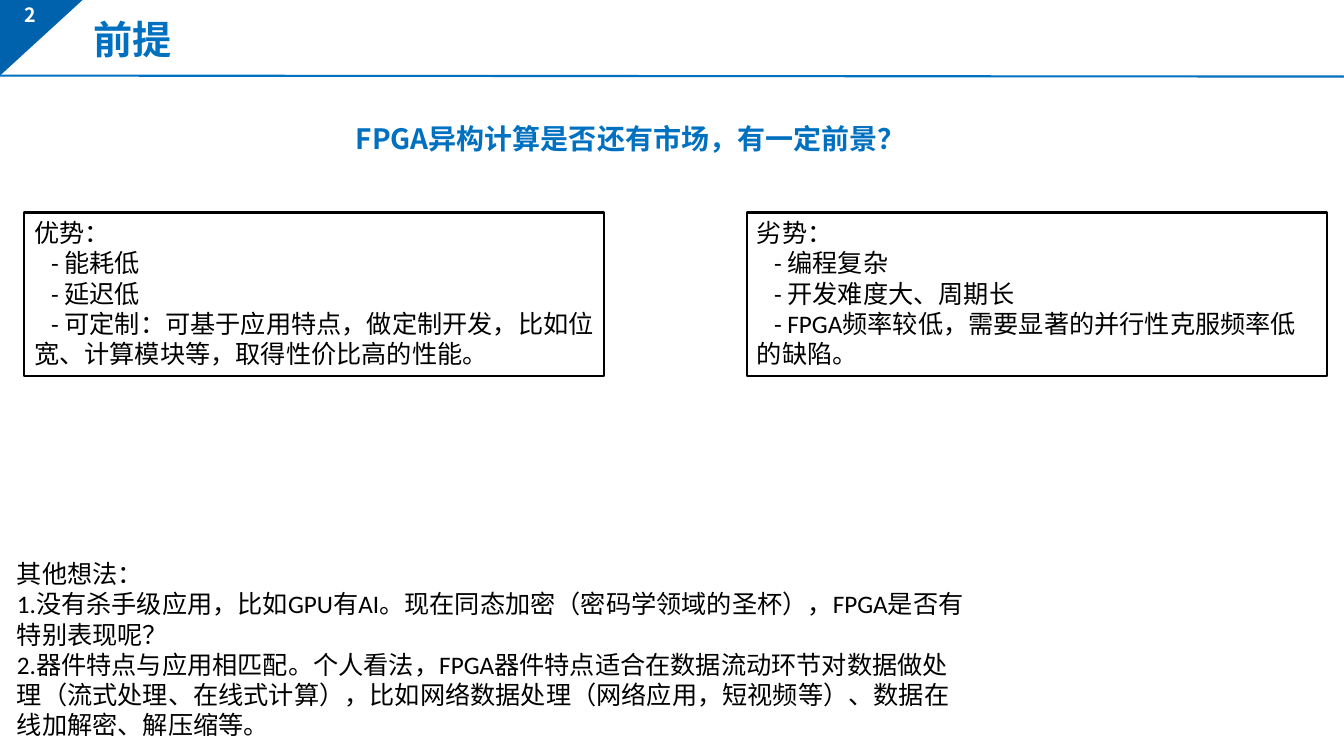
from pptx import Presentation
from pptx.dml.color import RGBColor
from pptx.enum.shapes import MSO_CONNECTOR as Connector, MSO_SHAPE as Shape
from pptx.enum.text import MSO_ANCHOR as Anchor, MSO_AUTO_SIZE as AutoSize, PP_ALIGN as Align
from pptx.oxml.ns import qn
from pptx.oxml.xmlchemy import OxmlElement
from pptx.util import Pt

HEADING_FONT, BODY_FONT = "Noto Sans CJK SC", "Calibri"
BLUE, DARK_BLUE, BLACK, WHITE = "0070C0", "0062AC", "000000", "FFFFFF"
WIDTH, HEIGHT = 960, 540


def color(value):
    return RGBColor.from_string(value)


def place(shape, box):
    shape.left, shape.top, shape.width, shape.height = map(Pt, box)


def write(shape, lines, size=18, font=BODY_FONT, fill=BLACK, bold=False, align=Align.LEFT,
          anchor=Anchor.TOP, insets=(7.2, 3.6), spacing=None, item_indent=0):
    """Fill a shape with paragraphs; item_indent moves the first line of all but the first."""
    frame = shape.text_frame
    frame.word_wrap = True
    frame.auto_size = AutoSize.NONE
    frame.vertical_anchor = anchor
    frame.margin_left = frame.margin_right = Pt(insets[0])
    frame.margin_top = frame.margin_bottom = Pt(insets[1])
    for index, line in enumerate(lines):
        paragraph = frame.paragraphs[0] if index == 0 else frame.add_paragraph()
        paragraph.alignment = align
        paragraph.space_before = Pt(0)
        paragraph.line_spacing = spacing
        if index and item_indent:
            properties = paragraph._p.get_or_add_pPr()
            properties.set("marL", "0")
            properties.set("indent", str(Pt(item_indent)))
        run = paragraph.add_run()
        run.text = line
        run.font.size = Pt(size)
        run.font.bold = bold
        run.font.name = font
        run.font.color.rgb = color(fill)
        east_asian = OxmlElement("a:ea")
        east_asian.set("typeface", font)
        run.font._element.find(qn("a:latin")).addnext(east_asian)


def add_text(slide, box, lines, **text_format):
    write(slide.shapes.add_textbox(*map(Pt, box)), lines, **text_format)


def add_header(slide, box, number, title):
    left, top, width, height = box
    # Corner with the page number
    corner = slide.shapes.add_shape(Shape.RIGHT_TRIANGLE, Pt(left), Pt(top), Pt(59), Pt(height))
    corner._element.spPr.find(qn("a:xfrm")).set("flipV", "1")
    corner.shadow.inherit = False
    corner.fill.solid()
    corner.fill.fore_color.rgb = color(DARK_BLUE)
    corner.line.fill.background()
    add_text(slide, (left - 3.6, top + 0.7, 50.4, 19.4), [number], size=14, font=HEADING_FONT,
             fill=WHITE, bold=True, align=Align.CENTER, anchor=Anchor.MIDDLE, insets=(0, 0))
    # Rule below the header
    rule = slide.shapes.add_connector(Connector.STRAIGHT, Pt(left), Pt(top + height),
                                      Pt(left + width), Pt(top + height + 0.7))
    rule.line.color.rgb = color(BLUE)
    rule.line.width = Pt(1.5)
    rule._element.spPr.append(OxmlElement("a:effectLst"))
    # Title
    place(slide.shapes.title, (left + 59.8, top + 7.2, 888, 41))
    write(slide.shapes.title, [title], size=28, font=HEADING_FONT, fill=BLUE, bold=True,
          anchor=Anchor.MIDDLE)


def add_panel(slide, box, lines):
    panel = slide.shapes.add_shape(Shape.RECTANGLE, *map(Pt, box))
    panel.shadow.inherit = False
    panel.fill.background()
    panel.line.color.rgb = color(BLACK)
    panel.line.width = Pt(1.5)
    write(panel, lines, item_indent=12.2)


def add_comparison(slide, box, panels):
    left, top, width, height = box
    panel_width = 414
    step = width - panel_width
    for index, lines in enumerate(panels):
        add_panel(slide, (left + index * step, top, panel_width, height), lines)


def main():
    presentation = Presentation()
    presentation.slide_width, presentation.slide_height = Pt(WIDTH), Pt(HEIGHT)
    slide = presentation.slides.add_slide(presentation.slide_layouts[5])

    add_header(slide, (0, 0, WIDTH, 54), "2", "前提")

    # Question
    add_text(slide, (247, 71, 442, 44), ["FPGA异构计算是否还有市场，有一定前景？"], size=20,
             font=HEADING_FONT, fill=BLUE, bold=True, align=Align.JUSTIFY,
             anchor=Anchor.MIDDLE, insets=(7.2, 0), spacing=1.5)

    # Advantages and disadvantages
    add_comparison(slide, (17.2, 151.8, 930.4, 116.8), [
        ["优势：", "- 能耗低", "- 延迟低",
         "- 可定制：可基于应用特点，做定制开发，比如位宽、计算模块等，取得性价比高的性能。"],
        ["劣势：", "- 编程复杂", "- 开发难度大、周期长",
         "- FPGA频率较低，需要显著的并行性克服频率低的缺陷。"],
    ])

    # Other thoughts
    add_text(slide, (5, 395.4, 697, 138.2), [
        "其他想法：",
        "1.没有杀手级应用，比如GPU有AI。现在同态加密（密码学领域的圣杯），FPGA是否有特别表现呢？",
        "2.器件特点与应用相匹配。个人看法，FPGA器件特点适合在数据流动环节对数据做处理"
        "（流式处理、在线式计算），比如网络数据处理（网络应用，短视频等）、数据在线加解密、解压缩等。",
    ])

    presentation.save("out.pptx")


if __name__ == "__main__":
    main()
